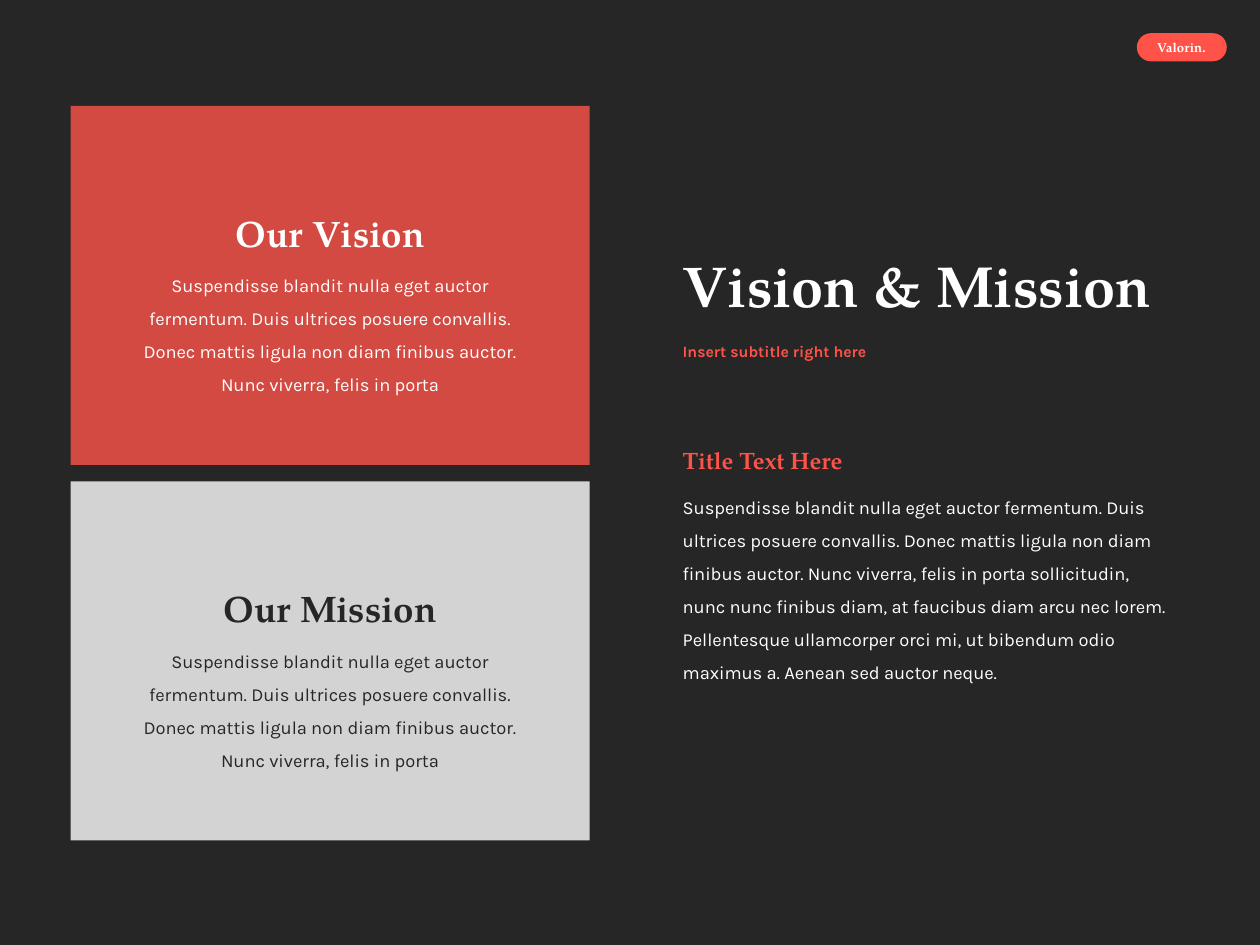
from lxml import etree
from pptx import Presentation
from pptx.dml.color import RGBColor
from pptx.enum.shapes import MSO_SHAPE
from pptx.enum.text import MSO_ANCHOR, MSO_AUTO_SIZE, PP_ALIGN
from pptx.oxml.ns import qn
from pptx.util import Inches, Pt

SERIF, SANS = "TeX Gyre Pagella", "Karla"
DARK, RED, WHITE = "262626", "FF5349", "FFFFFF"
SHORT = ("Suspendisse blandit nulla eget auctor fermentum. Duis ultrices posuere "
         "convallis. Donec mattis ligula non diam finibus auctor. "
         "Nunc viverra, felis in porta")
LONG = (SHORT + " sollicitudin, nunc nunc finibus diam, at faucibus diam arcu nec "
        "lorem. Pellentesque ullamcorper orci mi, ut bibendum odio maximus a. "
        "Aenean sed auctor neque.")


def rgb(color):
    """Turn a hex string into a colour."""
    return RGBColor.from_string(color)


def write(sp, text, font=SANS, size=10.5, color=WHITE, bold=False,
          align=PP_ALIGN.LEFT, spacing=1.0, anchor=MSO_ANCHOR.TOP):
    """Put one formatted paragraph into a shape."""
    tf = sp.text_frame
    tf.word_wrap = True
    tf.auto_size = MSO_AUTO_SIZE.NONE
    tf.vertical_anchor = anchor
    p = tf.paragraphs[0]
    p.alignment = align
    p.line_spacing = spacing
    p.space_before = Pt(0)
    r = p.add_run()
    r.text = text
    r.font.name = font
    r.font.size = Pt(size)
    r.font.bold = bold
    r.font.color.rgb = rgb(color)


def add_text(s, x, y, w, h, text, **fmt):
    """Add a text box."""
    sp = s.shapes.add_textbox(Inches(x), Inches(y), Inches(w), Inches(h))
    write(sp, text, **fmt)


def add_box(s, kind, x, y, w, h, color, alpha=100):
    """Add a plain filled shape, with opacity in percent."""
    sp = s.shapes.add_shape(kind, Inches(x), Inches(y), Inches(w), Inches(h))
    sp.shadow.inherit = False
    sp.fill.solid()
    sp.fill.fore_color.rgb = rgb(color)
    sp.line.fill.background()
    if alpha < 100:
        clr = sp.fill._xPr.find(".//" + qn("a:srgbClr"))
        etree.SubElement(clr, qn("a:alpha"), val=str(alpha * 1000))
    return sp


def add_title(s, x, y, w, h, text, **fmt):
    """Place and fill the title placeholder."""
    sp = s.shapes.title
    sp.left, sp.top, sp.width, sp.height = map(Inches, (x, y, w, h))
    write(sp, text, **fmt)


def add_badge(s, text):
    """Add the name badge in the top right corner."""
    sp = add_box(s, MSO_SHAPE.ROUNDED_RECTANGLE, 9.03, 0.27, 0.7, 0.21, RED)
    sp.adjustments[0] = 0.5
    sp.line.color.rgb = rgb(RED)
    sp.line.width = Pt(1)
    add_text(s, 9.06, 0.26, 0.63, 0.23, text, font=SERIF, size=7.5, bold=True,
             align=PP_ALIGN.CENTER)


def add_card(s, y, heading, fill, color):
    """Add a translucent card with a heading and a text."""
    add_box(s, MSO_SHAPE.RECTANGLE, 0.56, y, 4.12, 2.85, fill, alpha=80)
    top = y + 0.78
    add_text(s, 0.9, top + 0.42, 3.44, 0.87, SHORT, color=color,
             align=PP_ALIGN.CENTER, spacing=1.5)
    add_text(s, 1.58, top, 2.08, 0.45, heading, font=SERIF, size=21,
             color=color, bold=True, align=PP_ALIGN.CENTER)


def main():
    """Build the slide and save it."""
    prs = Presentation()
    prs.slide_width, prs.slide_height = Inches(10), Inches(7.5)
    s = prs.slides.add_slide(prs.slide_layouts[5])
    s.background.fill.solid()
    s.background.fill.fore_color.rgb = rgb(DARK)

    add_badge(s, "Valorin.")
    add_title(s, 5.32, 1.78, 5.63, 1.03, "Vision & Mission", font=SERIF, size=33,
              bold=True, spacing=0.9, anchor=MSO_ANCHOR.MIDDLE)
    add_text(s, 5.32, 2.61, 5.63, 0.38, "Insert subtitle right here", size=9,
             color=RED, bold=True, spacing=0.9, anchor=MSO_ANCHOR.MIDDLE)
    add_card(s, 0.84, "Our Vision", RED, WHITE)
    add_card(s, 3.82, "Our Mission", WHITE, DARK)
    add_text(s, 5.32, 3.8, 4.08, 1.4, LONG, spacing=1.5)
    add_text(s, 5.32, 3.49, 1.82, 0.33, "Title Text Here", font=SERIF, size=13.5,
             color=RED, bold=True)
    prs.save("out.pptx")


if __name__ == "__main__":
    main()
